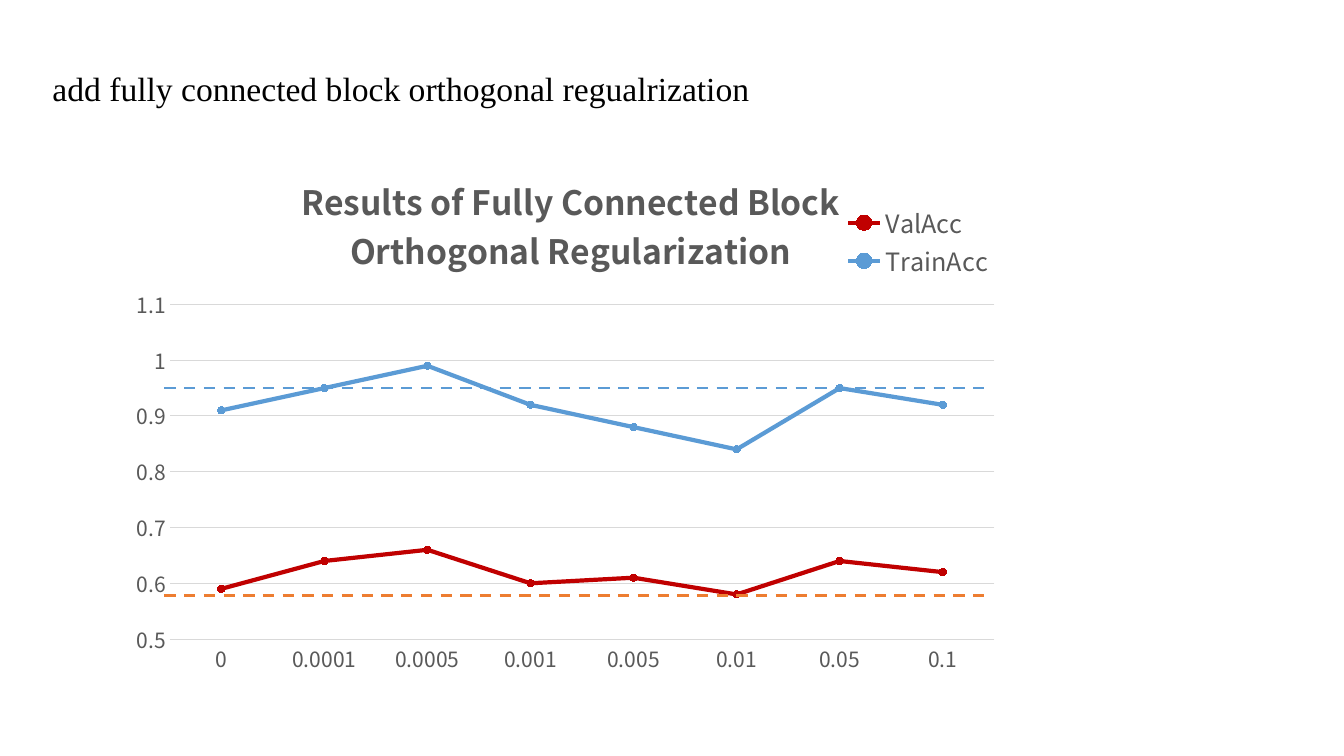
from lxml.etree import SubElement
from pptx import Presentation
from pptx.chart.data import CategoryChartData
from pptx.dml.color import RGBColor
from pptx.enum.chart import XL_CHART_TYPE, XL_LEGEND_POSITION, XL_MARKER_STYLE, XL_TICK_MARK
from pptx.enum.dml import MSO_LINE
from pptx.enum.shapes import MSO_CONNECTOR
from pptx.oxml import parse_xml
from pptx.oxml.ns import nsdecls, qn
from pptx.util import Inches, Pt

BLACK = RGBColor(0x00, 0x00, 0x00)
GREY = RGBColor(0x59, 0x59, 0x59)
LIGHT_GREY = RGBColor(0xD9, 0xD9, 0xD9)
RED = RGBColor(0xC0, 0x00, 0x00)
BLUE = RGBColor(0x5B, 0x9B, 0xD5)
ORANGE = RGBColor(0xED, 0x7D, 0x31)
CHART_FONT = "Noto Sans CJK SC"


def write_text(frame, text, size, color, font, bold=False):
    run = frame.paragraphs[0].add_run()
    run.text = text
    run.font.size = Pt(size)
    run.font.color.rgb = color
    run.font.name = font
    run.font.bold = bold


def place(element, after, target=None, **fractions):
    """Give a chart part a fixed place, in fractions of the chart's size."""
    for old in element.findall(qn("c:layout")):
        element.remove(old)
    layout = parse_xml(f"<c:layout {nsdecls('c')}><c:manualLayout/></c:layout>")
    manual = layout[0]
    if target:
        SubElement(manual, qn("c:layoutTarget"), val=target)
    for axis in ("x", "y"):
        SubElement(manual, qn(f"c:{axis}Mode"), val="edge")
    for side, fraction in fractions.items():
        SubElement(manual, qn(f"c:{side}"), val=str(fraction))
    if after is None:
        element.insert(0, layout)
    else:
        element.find(qn(after)).addnext(layout)


presentation = Presentation()
presentation.slide_width = Inches(13.33)
presentation.slide_height = Inches(7.5)
slide = presentation.slides.add_slide(presentation.slide_layouts[6])

# Accuracy chart
accuracy = CategoryChartData()
accuracy.categories = ["0", "0.0001", "0.0005", "0.001", "0.005", "0.01", "0.05", "0.1"]
accuracy.add_series("ValAcc", [0.59, 0.64, 0.66, 0.60, 0.61, 0.58, 0.64, 0.62])
accuracy.add_series("TrainAcc", [0.91, 0.95, 0.99, 0.92, 0.88, 0.84, 0.95, 0.92])
chart = slide.shapes.add_chart(
    XL_CHART_TYPE.LINE_MARKERS,
    Inches(1.15), Inches(1.42), Inches(8.89), Inches(5.93), accuracy,
).chart
chart.font.name = CHART_FONT
chart.font.size = Pt(10)
chart.font.color.rgb = BLACK

chart.has_title = True
write_text(chart.chart_title.text_frame,
           "Results of Fully Connected Block Orthogonal Regularization",
           size=24, color=GREY, font=CHART_FONT, bold=True)
chart.chart_title.include_in_layout = False

chart.has_legend = True
legend = chart.legend
legend.position = XL_LEGEND_POSITION.BOTTOM
legend.include_in_layout = False

category_axis, value_axis = chart.category_axis, chart.value_axis
for axis in (category_axis, value_axis):
    axis.major_tick_mark = axis.minor_tick_mark = XL_TICK_MARK.NONE
for part, size in ((category_axis.tick_labels, 15), (value_axis.tick_labels, 15), (legend, 18)):
    part.font.size = Pt(size)
    part.font.name = CHART_FONT
    part.font.color.rgb = GREY

value_axis.minimum_scale = 0.5
value_axis.maximum_scale = 1.1
value_axis.major_unit = 0.1
value_axis.format.line.fill.background()
value_axis.has_major_gridlines = True
for line in (category_axis.format.line, value_axis.major_gridlines.format.line):
    line.color.rgb = LIGHT_GREY
    line.width = Pt(0.75)

plot = chart.plots[0]
plot.vary_by_categories = False
for series, color in zip(plot.series, (RED, BLUE)):
    series.smooth = False
    series.format.line.color.rgb = color
    series.format.line.width = Pt(3)
    series.marker.style = XL_MARKER_STYLE.CIRCLE
    series.marker.size = 5
    series.marker.format.fill.solid()
    series.marker.format.fill.fore_color.rgb = color
    series.marker.format.line.color.rgb = color

plot_area = chart.element.find(".//" + qn("c:plotArea"))
place(plot_area, None, target="inner", x=0.06, y=0.27, w=0.92, h=0.56)
place(chart.chart_title.element if hasattr(chart.chart_title, "element")
      else chart.element.find(".//" + qn("c:title")), "c:tx", x=0.2, y=0.04)
place(chart.element.find(".//" + qn("c:legend")), "c:legendPos", x=0.8, y=0.1, w=0.19, h=0.13)

# Baseline accuracies
for height, color in ((5.91, ORANGE), (3.85, BLUE)):
    baseline = slide.shapes.add_connector(
        MSO_CONNECTOR.STRAIGHT, Inches(1.63), Inches(height), Inches(9.81), Inches(height))
    baseline.line.color.rgb = color
    baseline.line.width = Pt(2)
    baseline.line.dash_style = MSO_LINE.DASH
    SubElement(baseline.element.spPr, qn("a:effectLst"))

# Heading
heading = slide.shapes.add_textbox(Inches(0.52), Inches(0.67), Inches(8.38), Inches(0.4)).text_frame
heading.word_wrap = True
heading.margin_left = heading.margin_right = heading.margin_top = heading.margin_bottom = 0
write_text(heading, "add fully connected block orthogonal regualrization",
           size=24, color=BLACK, font="Times New Roman")

presentation.save("out.pptx")
